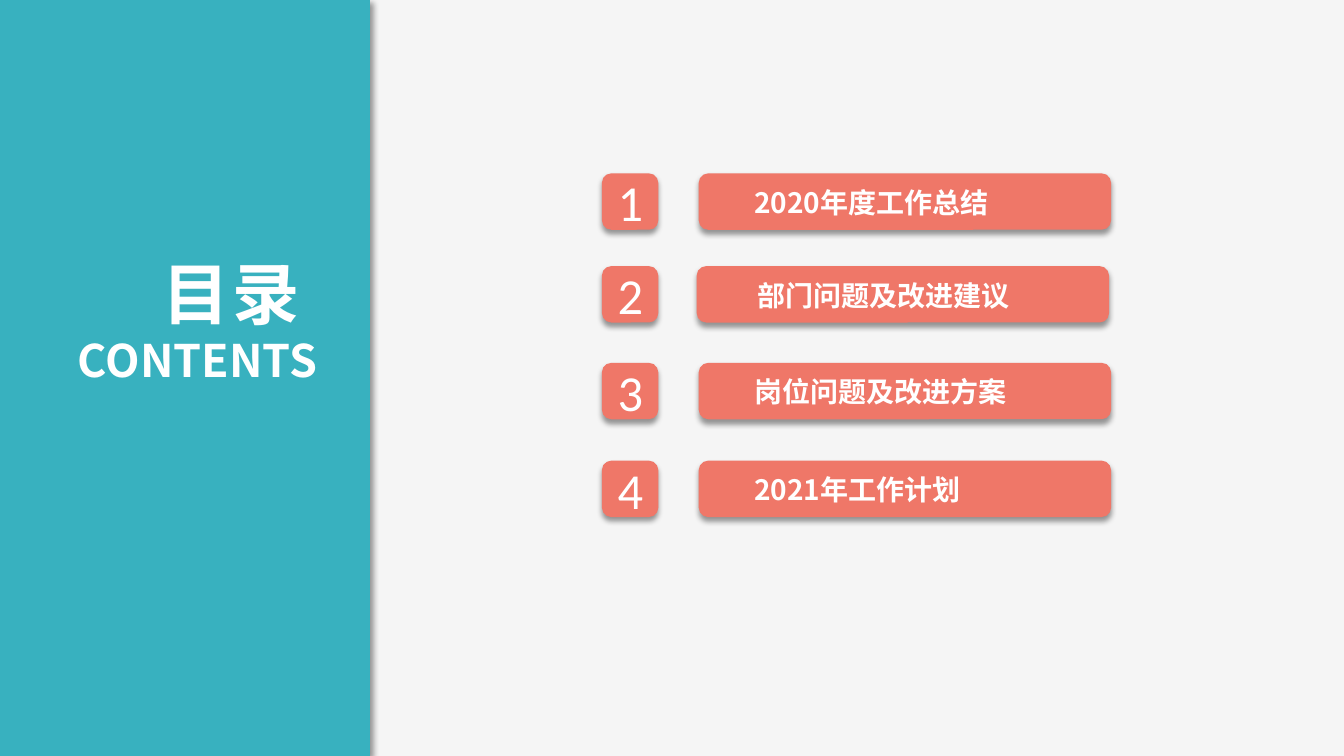
from lxml.etree import SubElement
from pptx import Presentation
from pptx.dml.color import RGBColor
from pptx.enum.shapes import MSO_SHAPE
from pptx.enum.text import MSO_ANCHOR, MSO_AUTO_SIZE, PP_ALIGN
from pptx.oxml.ns import qn
from pptx.util import Inches, Pt

TEAL, CORAL, WHITE, PALE = "38B1BF", "EF7768", "FFFFFF", "F5F5F5"
SANS, CJK = "Calibri", "Noto Sans CJK SC"
SIDE = 0.56
ROWS = [
    (1.72, 6.93, 7.35, "2020年度工作总结"),
    (2.64, 6.91, 7.38, "部门问题及改进建议"),
    (3.6, 6.93, 7.35, "岗位问题及改进方案"),
    (4.57, 6.93, 7.35, "2021年工作计划"),
]


def paint(fill, color):
    fill.solid()
    fill.fore_color.rgb = RGBColor.from_string(color)


def add_shadow(shape, angle):
    shape.shadow.inherit = False
    effects = shape._element.spPr.find(qn("a:effectLst"))
    outer = SubElement(effects, qn("a:outerShdw"), blurRad=str(Pt(4)),
                       dist=str(Pt(3)), dir=str(angle * 60000),
                       algn="t", rotWithShape="0")
    black = SubElement(outer, qn("a:srgbClr"), val="000000")
    SubElement(black, qn("a:alpha"), val="40000")


def add_box(shapes, kind, left, top, width, height, color, angle=90):
    box = shapes.add_shape(kind, Inches(left), Inches(top),
                           Inches(width), Inches(height))
    paint(box.fill, color)
    box.line.fill.background()
    add_shadow(box, angle)
    return box


def set_frame(frame, anchor=MSO_ANCHOR.TOP, grow=True):
    frame.word_wrap = True
    frame.vertical_anchor = anchor
    frame.auto_size = MSO_AUTO_SIZE.SHAPE_TO_FIT_TEXT if grow else MSO_AUTO_SIZE.NONE
    frame.margin_left = frame.margin_right = Inches(0.13)
    frame.margin_top = frame.margin_bottom = Inches(0.07)


def write(para, text, size, font=CJK, bold=True, align=PP_ALIGN.LEFT, gap=0):
    para.alignment = align
    para.line_spacing = 1.0
    para.space_before = Pt(0)
    run = para.add_run()
    run.text = text
    run.font.size = Pt(size)
    run.font.bold = bold
    run.font.name = font
    paint(run.font.fill, WHITE)
    props = run.font._element
    props.set("spc", str(gap * 100))
    SubElement(props, qn("a:ea"), typeface=font)


def add_row(shapes, number, top, left, start, text):
    badge = add_box(shapes, MSO_SHAPE.ROUNDED_RECTANGLE, 5.97, top, SIDE, SIDE, CORAL)
    set_frame(badge.text_frame, MSO_ANCHOR.MIDDLE, grow=False)
    write(badge.text_frame.paragraphs[0], str(number), 36, font=SANS,
          bold=False, align=PP_ALIGN.CENTER)
    group = shapes.add_group_shape()
    add_box(group.shapes, MSO_SHAPE.ROUNDED_RECTANGLE, left, top, 4.09, SIDE, CORAL)
    label = group.shapes.add_textbox(Inches(start), Inches(top + 0.05),
                                     Inches(2.99), Inches(0.47))
    set_frame(label.text_frame)
    write(label.text_frame.paragraphs[0], text, 20)


def add_title(slide):
    title = slide.shapes.title
    title.left, title.top = Inches(0.21), Inches(2.43)
    title.width, title.height = Inches(3.07), Inches(1.48)
    frame = title.text_frame
    set_frame(frame)
    write(frame.paragraphs[0], "目录 ", 48, align=PP_ALIGN.RIGHT, gap=2)
    write(frame.add_paragraph(), "CONTENTS", 32, align=PP_ALIGN.RIGHT)
    slide.shapes._spTree.append(title._element)


def main():
    deck = Presentation()
    deck.slide_width, deck.slide_height = Inches(13.33), Inches(7.5)
    slide = deck.slides.add_slide(deck.slide_layouts[5])
    paint(slide.background.fill, PALE)
    for number, row in enumerate(ROWS, 1):
        add_row(slide.shapes, number, *row)
    add_box(slide.shapes, MSO_SHAPE.RECTANGLE, -0.12, 0, 3.79, 7.5, TEAL, angle=45)
    add_title(slide)
    deck.save("out.pptx")


if __name__ == "__main__":
    main()
